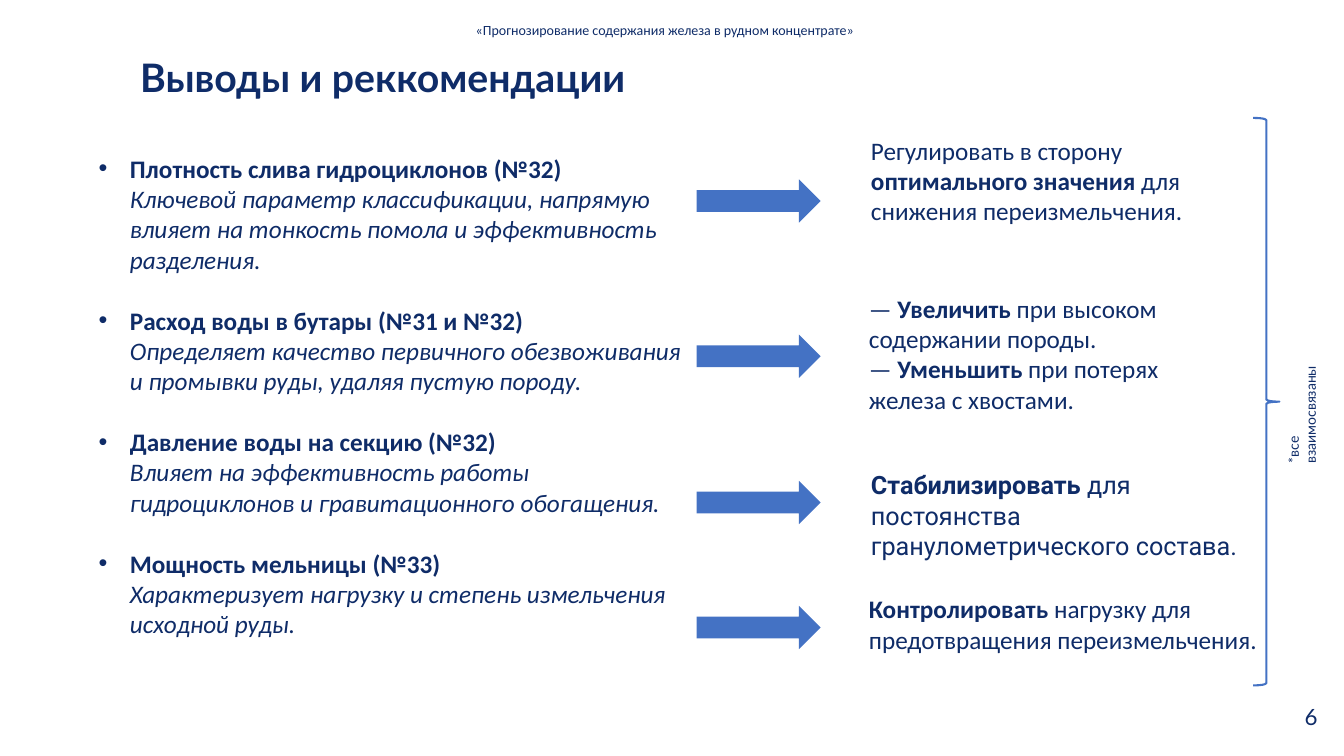
from lxml.etree import SubElement
from pptx import Presentation
from pptx.dml.color import RGBColor
from pptx.enum.shapes import MSO_SHAPE
from pptx.enum.text import MSO_ANCHOR, PP_ALIGN
from pptx.oxml.ns import qn
from pptx.util import Inches, Pt

NAVY = RGBColor(0x0F, 0x2C, 0x68)
BLUE = RGBColor(0x44, 0x72, 0xC4)

TITLE = "Выводы и реккомендации"
HEADER = "«Прогнозирование содержания железа в рудном концентрате»"
PAGE_NUMBER = "6"
BRACE_LABEL = "*все взаимосвязаны"

FACTORS = [
    ("Плотность слива гидроциклонов (№32)",
     "Ключевой параметр классификации, напрямую влияет на тонкость помола и эффективность разделения."),
    ("Расход воды в бутары (№31 и №32)",
     "Определяет качество первичного обезвоживания и промывки руды, удаляя пустую породу."),
    ("Давление воды на секцию (№32)",
     "Влияет на эффективность работы гидроциклонов и гравитационного обогащения."),
    ("Мощность мельницы (№33)",
     "Характеризует нагрузку и степень измельчения исходной руды."),
]

RECOMMENDATIONS = [
    {"arrow_top": 1.78, "box": (8.54, 1.29, 4.05, 1.31), "font": "Calibri",
     "runs": [("Регулировать в сторону ", ""), ("оптимального значения", "b"),
              (" для снижения переизмельчения.", "")]},
    {"arrow_top": 3.32, "box": (8.52, 2.86, 3.85, 1.31), "font": "Calibri",
     "runs": [("— ", ""), ("Увеличить", "b"), (" при высоком содержании породы.", ""), None,
              ("— ", ""), ("Уменьшить", "b"), (" при потерях железа с хвостами.", "")]},
    {"arrow_top": 4.77, "box": (8.54, 4.61, 4.13, 0.71), "font": "Roboto",
     "runs": [("Стабилизировать", "b"), (" для постоянства гранулометрического состава.", "")]},
    {"arrow_top": 6.01, "box": (8.52, 5.84, 4.13, 0.71), "font": "Calibri",
     "runs": [("Контролировать", "b"), (" нагрузку для предотвращения переизмельчения.", "")]},
]


def write_runs(paragraph, runs, font="Calibri", size=18):
    for item in runs:
        if item is None:
            paragraph.add_line_break()
            continue
        text, style = item
        run = paragraph.add_run()
        run.text = text
        run.font.name = font
        run.font.size = Pt(size)
        run.font.bold = "b" in style
        run.font.italic = "i" in style
        run.font.color.rgb = NAVY


def add_text(slide, box, runs, **text_format):
    shape = slide.shapes.add_textbox(*map(Inches, box))
    shape.text_frame.word_wrap = True
    write_runs(shape.text_frame.paragraphs[0], runs, **text_format)
    return shape


def add_bullet(paragraph):
    properties = paragraph._p.get_or_add_pPr()
    properties.set("marL", str(Inches(0.81)))
    properties.set("indent", str(Inches(-0.31)))
    SubElement(properties, qn("a:buFont"), typeface="Arial")
    SubElement(properties, qn("a:buChar"), char="•")


def add_title(slide):
    title = slide.shapes.title
    title.left, title.top, title.width, title.height = map(Inches, (1.39, 0.53, 5.74, 0.85))
    frame = title.text_frame
    frame.margin_left = frame.margin_top = frame.margin_right = frame.margin_bottom = 0
    frame.vertical_anchor = MSO_ANCHOR.TOP
    frame.paragraphs[0].alignment = PP_ALIGN.LEFT
    write_runs(frame.paragraphs[0], [(TITLE, "b")], font="Lato", size=28)


def add_factors(slide):
    shape = slide.shapes.add_textbox(*map(Inches, (0.38, 1.47, 6.48, 5.03)))
    frame = shape.text_frame
    frame.word_wrap = True
    for index, (name, explanation) in enumerate(FACTORS):
        paragraph = frame.add_paragraph() if index else frame.paragraphs[0]
        add_bullet(paragraph)
        if index:
            paragraph.space_before = Pt(22)
        write_runs(paragraph, [(name, "b"), None, (explanation, "i")])


def add_recommendations(slide):
    for recommendation in RECOMMENDATIONS:
        arrow = slide.shapes.add_shape(
            MSO_SHAPE.RIGHT_ARROW,
            *map(Inches, (6.91, recommendation["arrow_top"], 1.23, 0.43)))
        arrow.shadow.inherit = False
        arrow.fill.solid()
        arrow.fill.fore_color.rgb = BLUE
        arrow.line.fill.background()
        add_text(slide, recommendation["box"], recommendation["runs"], font=recommendation["font"])


def add_brace(slide):
    brace = slide.shapes.add_shape(MSO_SHAPE.RIGHT_BRACE, *map(Inches, (12.43, 1.17, 0.26, 5.63)))
    brace.shadow.inherit = False
    brace.fill.background()
    brace.line.color.rgb = BLUE
    brace.line.width = Pt(1.5)
    label = add_text(slide, (12.12, 3.85, 1.42, 0.27), [(BRACE_LABEL, "")], font="Lato", size=10)
    label.rotation = 270


def main():
    presentation = Presentation()
    presentation.slide_width = Inches(13.33)
    presentation.slide_height = Inches(7.5)
    slide = presentation.slides.add_slide(presentation.slide_layouts[5])
    add_title(slide)
    add_text(slide, (4.62, 0.16, 4.15, 0.27), [(HEADER, "")], size=10)
    add_text(slide, (12.84, 6.93, 0.34, 0.37), [(PAGE_NUMBER, "")], font="Lato", size=16)
    add_factors(slide)
    add_recommendations(slide)
    add_brace(slide)
    presentation.save("out.pptx")


if __name__ == "__main__":
    main()
